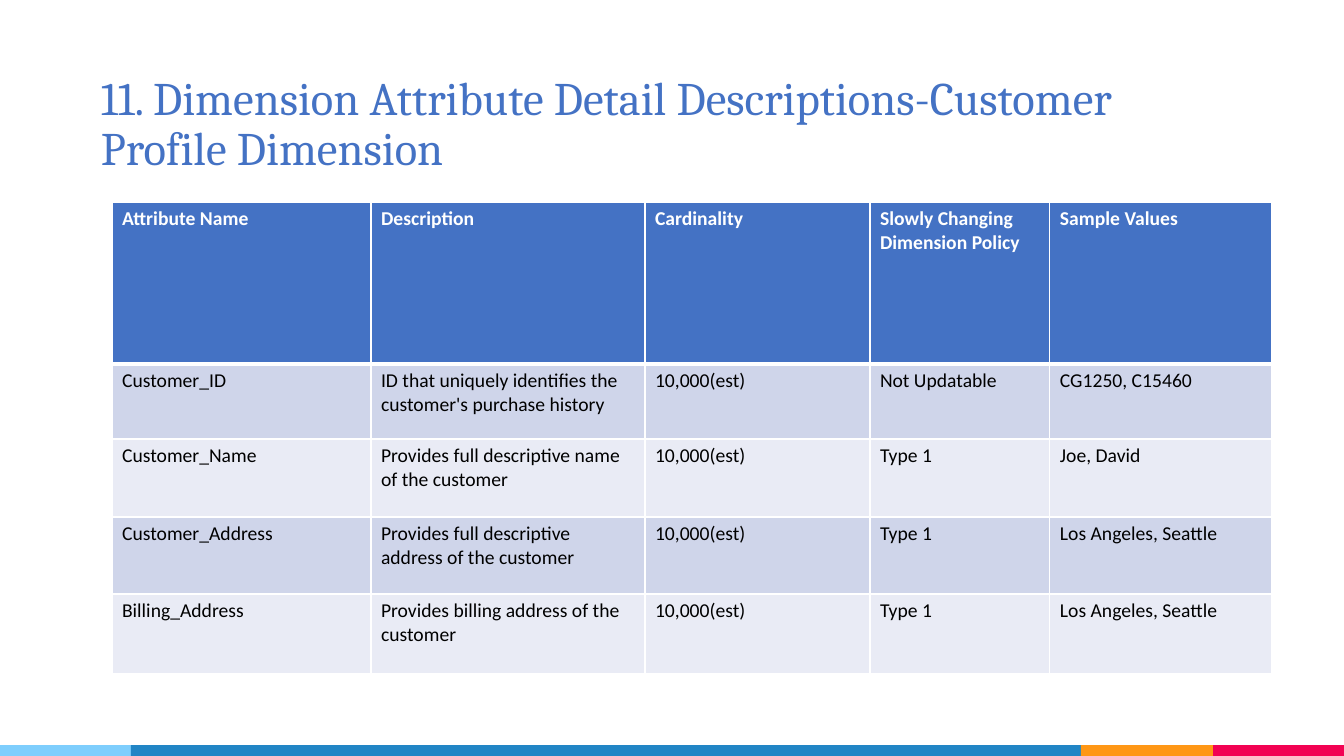
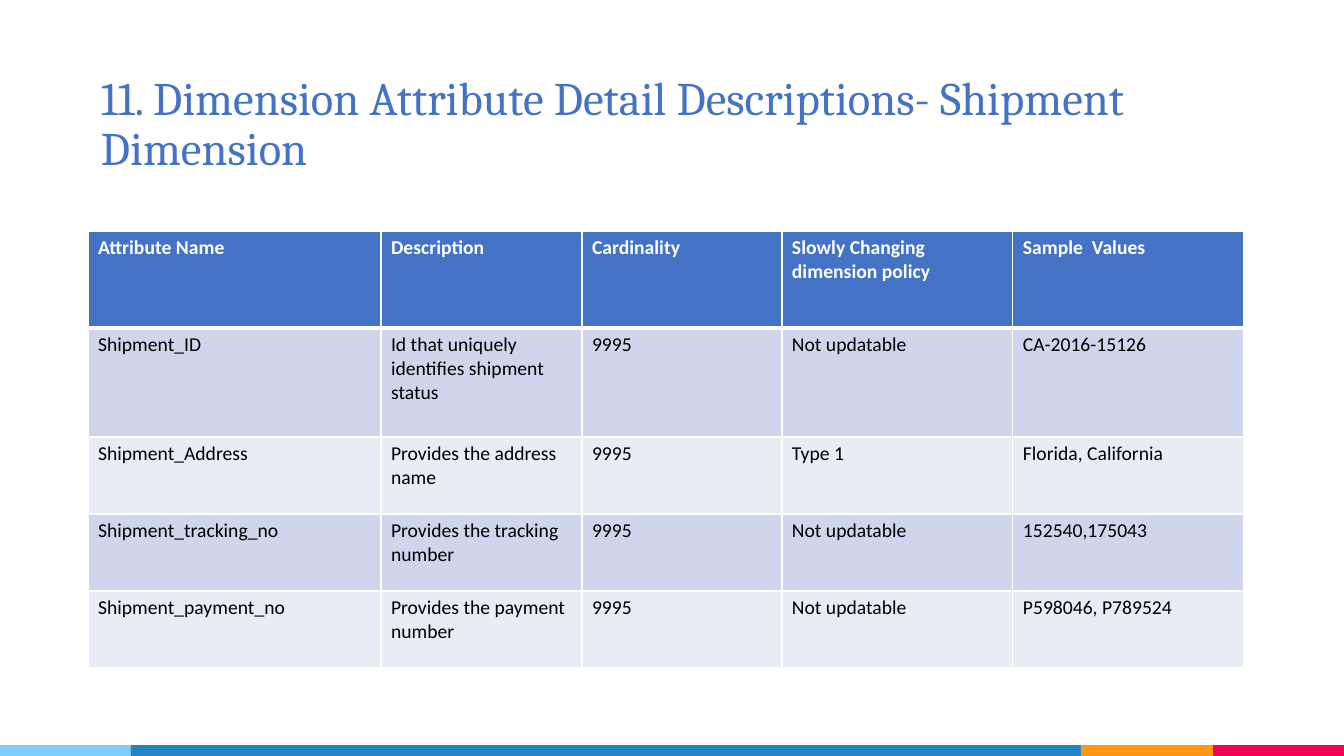
from lxml import etree
from pptx import Presentation
from pptx.dml.color import RGBColor
from pptx.enum.shapes import MSO_SHAPE
from pptx.enum.text import MSO_ANCHOR
from pptx.oxml.ns import qn
from pptx.util import Emu, Pt

RECT = MSO_SHAPE.RECTANGLE
BOTTOM = MSO_ANCHOR.BOTTOM

WIDTH, HEIGHT = 1344, 756
EMU_PER_PX = 12192000 / WIDTH

BLUE, WHITE, BLACK = "4472C4", "FFFFFF", "000000"
ROW_FILLS = ("CFD5EA", "E9EBF5")
BAND_HEIGHT = 11
BANDS = ((131, "7ECEFD"), (950, "2185C5"), (132, "FF9715"), (131, "F20253"))

CUSTOMER_ROWS = (
    ("Attribute Name", "Description", "Cardinality",
     "Slowly Changing Dimension Policy", "Sample Values"),
    ("Customer_ID", "ID that uniquely identifies the customer's purchase history",
     "10,000(est)", "Not Updatable", "CG1250, C15460"),
    ("Customer_Name", "Provides full descriptive name of the customer",
     "10,000(est)", "Type 1", "Joe, David"),
    ("Customer_Address", "Provides full descriptive address of the customer",
     "10,000(est)", "Type 1", "Los Angeles, Seattle"),
    ("Billing_Address", "Provides billing address of the customer",
     "10,000(est)", "Type 1", "Los Angeles, Seattle"),
)
SHIPMENT_ROWS = (
    ("Attribute Name", "Description", "Cardinality",
     "Slowly Changing dimension policy", "Sample  Values"),
    ("Shipment_ID", "Id that uniquely identifies shipment status",
     "9995", "Not updatable", "CA-2016-15126"),
    ("Shipment_Address", "Provides the address name",
     "9995", "Type 1", "Florida, California"),
    ("Shipment_tracking_no", "Provides the tracking number",
     "9995", "Not updatable", "152540,175043"),
    ("Shipment_payment_no", "Provides the payment number",
     "9995", "Not updatable", "P598046, P789524"),
)


def px(n):
    """Turn pixels into EMU."""
    return Emu(round(n * EMU_PER_PX))


def rgb(color):
    """Turn a hex string into a colour."""
    return RGBColor.from_string(color)


def style_text(p, font, size, color, bold=False):
    """Format every run of a paragraph."""
    for r in p.runs:
        r.font.name = font
        r.font.size = Pt(size)
        r.font.color.rgb = rgb(color)
        r.font.bold = bold


def add_bands(s):
    """Draw the coloured strip along the bottom edge."""
    left = 0
    for width, color in BANDS:
        sp = s.shapes.add_shape(RECT, px(left), px(HEIGHT - BAND_HEIGHT),
                                px(width), px(BAND_HEIGHT))
        sp.shadow.inherit = False
        sp.fill.solid()
        sp.fill.fore_color.rgb = rgb(color)
        sp.line.fill.background()
        left += width


def add_title(s, text):
    """Add the slide title, resting on the bottom of its box."""
    tf = s.shapes.add_textbox(px(91), px(60), px(1090), px(126)).text_frame
    tf.word_wrap = True
    tf.vertical_anchor = BOTTOM
    tf.margin_left = tf.margin_right = tf.margin_top = tf.margin_bottom = px(10)
    p = tf.paragraphs[0]
    p.text = text
    p.line_spacing = 0.9
    style_text(p, "Cambria", 33.3, BLUE)


def add_border(cell, side, points):
    """Give one side of a cell a white line."""
    ln = etree.SubElement(cell._tc.get_or_add_tcPr(), qn("a:ln" + side),
                          w=str(Pt(points)))
    fill = etree.SubElement(ln, qn("a:solidFill"))
    etree.SubElement(fill, qn("a:srgbClr"), val=WHITE)


def style_cell(cell, row):
    """Format a cell by its row: header first, then alternating fills."""
    header = row == 0
    for side in "LRTB":
        heavy = (row, side) in ((0, "B"), (1, "T"))
        add_border(cell, side, 3 if heavy else 1)
    cell.fill.solid()
    cell.fill.fore_color.rgb = rgb(BLUE if header else ROW_FILLS[(row - 1) % 2])
    style_text(cell.text_frame.paragraphs[0], "Calibri", 14,
               WHITE if header else BLACK, header)


def add_attribute_table(s, left, top, widths, heights, rows):
    """Add a table of dimension attributes."""
    table = s.shapes.add_table(len(heights), len(widths), px(left), px(top),
                               px(sum(widths)), px(sum(heights))).table
    table.horz_banding = False
    for column, width in zip(table.columns, widths):
        column.width = px(width)
    for i, (height, texts) in enumerate(zip(heights, rows)):
        table.rows[i].height = px(height)
        for j, text in enumerate(texts):
            cell = table.cell(i, j)
            cell.text_frame.text = text
            style_cell(cell, i)


def add_slide(prs, title):
    """Add a blank slide with the shared bands and title."""
    s = prs.slides.add_slide(prs.slide_layouts[6])
    add_bands(s)
    add_title(s, title)
    return s


def main():
    """Build and save the presentation."""
    prs = Presentation()
    prs.slide_width, prs.slide_height = px(WIDTH), px(HEIGHT)
    heading = "11. Dimension Attribute Detail Descriptions-"

    s = add_slide(prs, heading + "Customer Profile Dimension")
    add_attribute_table(s, 112, 202, (259, 274, 225, 180, 222),
                        (162, 75, 78, 77, 80), CUSTOMER_ROWS)

    s = add_slide(prs, heading + " Shipment Dimension")
    add_attribute_table(s, 88, 231, (293, 201, 200, 231, 231),
                        (97, 109, 77, 77, 77), SHIPMENT_ROWS)

    prs.save("out.pptx")


if __name__ == "__main__":
    main()
